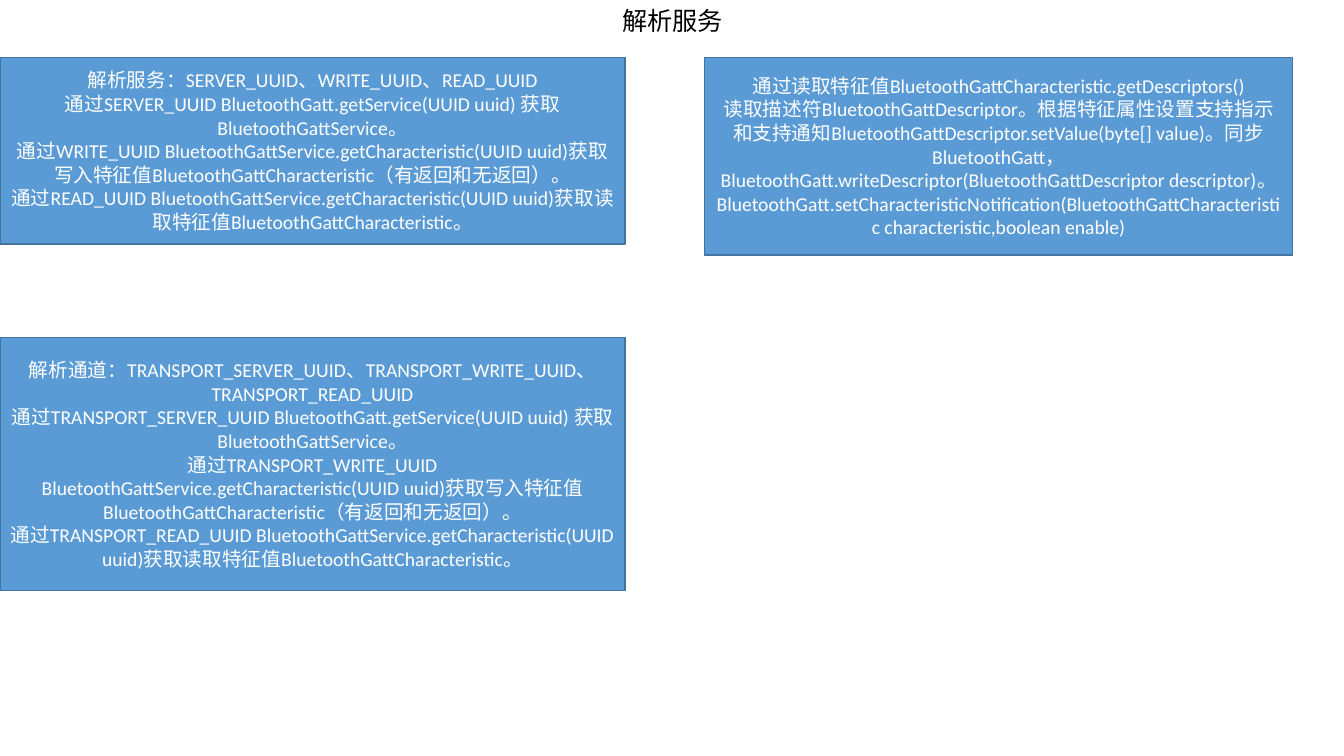
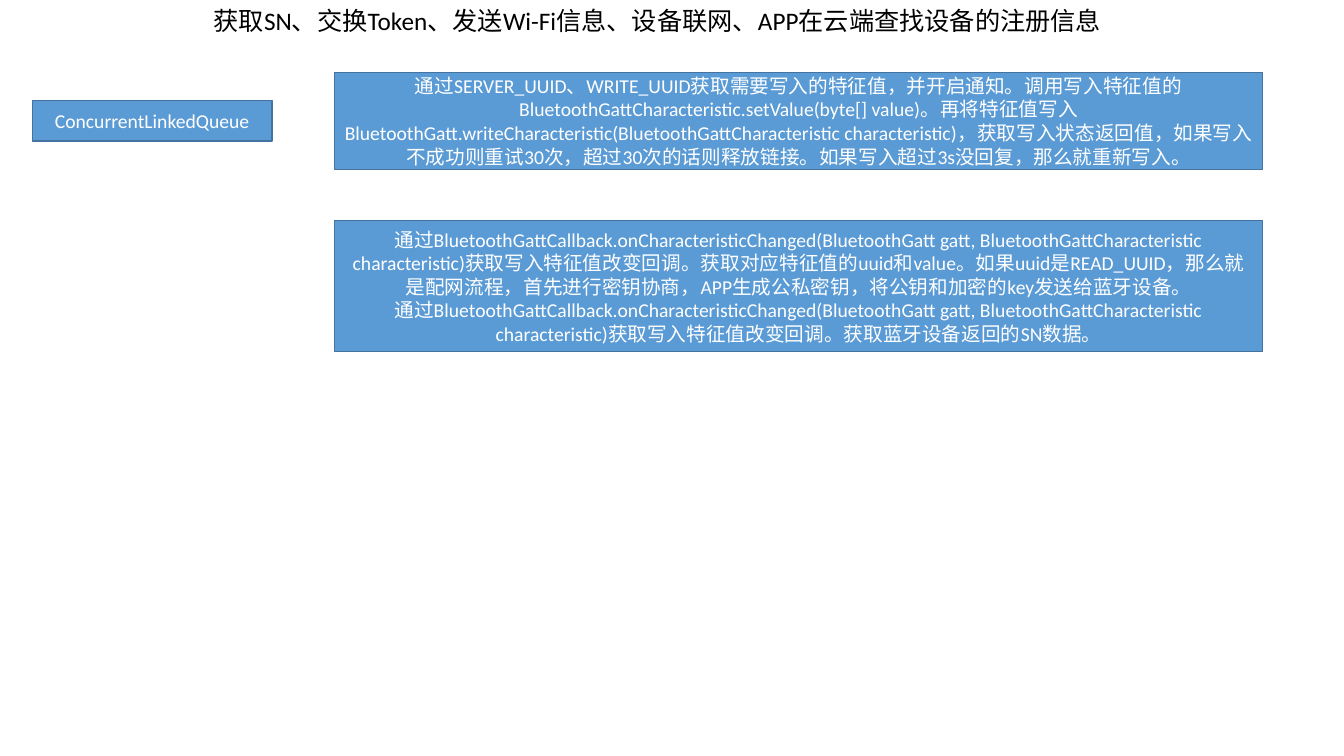
from dataclasses import dataclass

from pptx import Presentation
from pptx.dml.color import RGBColor
from pptx.enum import shapes, text
from pptx.util import Inches, Pt


@dataclass(frozen=True)
class Theme:
    font: str = "Calibri"
    ink: str = "000000"
    paper: str = "FFFFFF"
    fill: str = "5B9BD5"
    edge: str = "43739E"
    title_size: int = 18
    body_size: int = 14
    edge_width: int = 1


THEME = Theme()
TITLE_FRAME = dict(word_wrap=True, vertical_anchor=text.MSO_ANCHOR.TOP,
                   auto_size=text.MSO_AUTO_SIZE.SHAPE_TO_FIT_TEXT,
                   margin_left=Inches(0.1), margin_right=Inches(0.05))
PANEL_FRAME = dict(word_wrap=True, vertical_anchor=text.MSO_ANCHOR.MIDDLE)

prs = Presentation()
prs.slide_width, prs.slide_height = Inches(13.33), Inches(7.5)


def apply(target, values):
    for name, value in values.items():
        setattr(target, name, value)


def place(box):
    x, y, w, h = box
    W, H = prs.slide_width, prs.slide_height
    return dict(left=round(W * x / 100), top=round(H * y / 100),
                width=round(W * w / 100), height=round(H * h / 100))


def write(tf, lines, frame, size, color, align):
    apply(tf, frame)
    for i, line in enumerate(lines):
        p = tf.add_paragraph() if i else tf.paragraphs[0]
        p.alignment = align
        r = p.add_run()
        r.text = line
        apply(r.font, dict(name=THEME.font, size=Pt(size)))
        r.font.color.rgb = RGBColor.from_string(color)


def add_title(s, box, title):
    sp = s.shapes.title
    apply(sp, place(box))
    write(sp.text_frame, [title], TITLE_FRAME, THEME.title_size,
          THEME.ink, text.PP_ALIGN.LEFT)


def add_panel(s, box, lines):
    sp = s.shapes.add_shape(shapes.MSO_SHAPE.RECTANGLE, **place(box))
    sp.shadow.inherit = False
    sp.fill.solid()
    sp.fill.fore_color.rgb = RGBColor.from_string(THEME.fill)
    sp.line.color.rgb = RGBColor.from_string(THEME.edge)
    sp.line.width = Pt(THEME.edge_width)
    write(sp.text_frame, lines, PANEL_FRAME, THEME.body_size,
          THEME.paper, text.PP_ALIGN.CENTER)


def add_panel_slide(title, title_box, panels):
    s = prs.slides.add_slide(prs.slide_layouts[5])
    add_title(s, title_box, title)
    for box, lines in panels:
        add_panel(s, box, lines)


def uuid_lines(subject, prefix=""):
    server, writer, reader = [f"{prefix}{kind}_UUID" for kind in ("SERVER", "WRITE", "READ")]
    lookup = "BluetoothGattService.getCharacteristic(UUID uuid)"
    return [
        f"解析{subject}:{server}、{writer}、{reader}".replace(":", "："),
        f"通过{server} BluetoothGatt.getService(UUID uuid) 获取 BluetoothGattService。",
        f"通过{writer} {lookup}获取写入特征值BluetoothGattCharacteristic（有返回和无返回）。",
        f"通过{reader} {lookup}获取读取特征值BluetoothGattCharacteristic。",
    ]


DESCRIPTOR_LINES = [
    "通过读取特征值BluetoothGattCharacteristic.getDescriptors()",
    "读取描述符BluetoothGattDescriptor。根据特征属性设置支持指示和支持通知"
    "BluetoothGattDescriptor.setValue(byte[] value)。同步BluetoothGatt，"
    "BluetoothGatt.writeDescriptor(BluetoothGattDescriptor descriptor)。",
    "BluetoothGatt.setCharacteristicNotification("
    "BluetoothGattCharacteristic characteristic,boolean enable)",
]
WRITE_LINES = [
    "通过SERVER_UUID、WRITE_UUID获取需要写入的特征值，并开启通知。调用写入特征值的"
    "BluetoothGattCharacteristic.setValue(byte[] value)。再将特征值写入"
    "BluetoothGatt.writeCharacteristic(BluetoothGattCharacteristic characteristic)，"
    "获取写入状态返回值，如果写入不成功则重试30次，超过30次的话则释放链接。"
    "如果写入超过3s没回复，那么就重新写入。",
]
CALLBACK = ("通过BluetoothGattCallback.onCharacteristicChanged(BluetoothGatt gatt, "
            "BluetoothGattCharacteristic characteristic)获取写入特征值改变回调。")
CALLBACK_LINES = [CALLBACK + result for result in (
    "获取对应特征值的uuid和value。如果uuid是READ_UUID，那么就是配网流程，首先进行密钥协商，"
    "APP生成公私密钥，将公钥和加密的key发送给蓝牙设备。",
    "获取蓝牙设备返回的SN数据。",
)]

LEFT_COL, RIGHT_COL, WIDE_COL = (0, 46.51), (52.44, 43.74), (24.91, 69.02)
QUEUE_COL = (2.4, 17.85)


def cell(col, top, height):
    return col[0], top, col[1], height


add_panel_slide("解析服务", (45.54, 0, 9, 5.33), [
    (cell(LEFT_COL, 7.6, 24.67), uuid_lines("服务")),
    (cell(RIGHT_COL, 7.6, 26.13), DESCRIPTOR_LINES),
    (cell(LEFT_COL, 44.67, 33.47), uuid_lines("通道", "TRANSPORT_")),
])
add_panel_slide("获取SN、交换Token、发送Wi-Fi信息、设备联网、APP在云端查找设备的注册信息",
                (15.15, 0, 69.77, 5.33), [
    (cell(QUEUE_COL, 13.33, 5.33), ["ConcurrentLinkedQueue"]),
    (cell(WIDE_COL, 9.6, 12.8), WRITE_LINES),
    (cell(WIDE_COL, 29.2, 17.33), CALLBACK_LINES),
])
prs.save("out.pptx")
